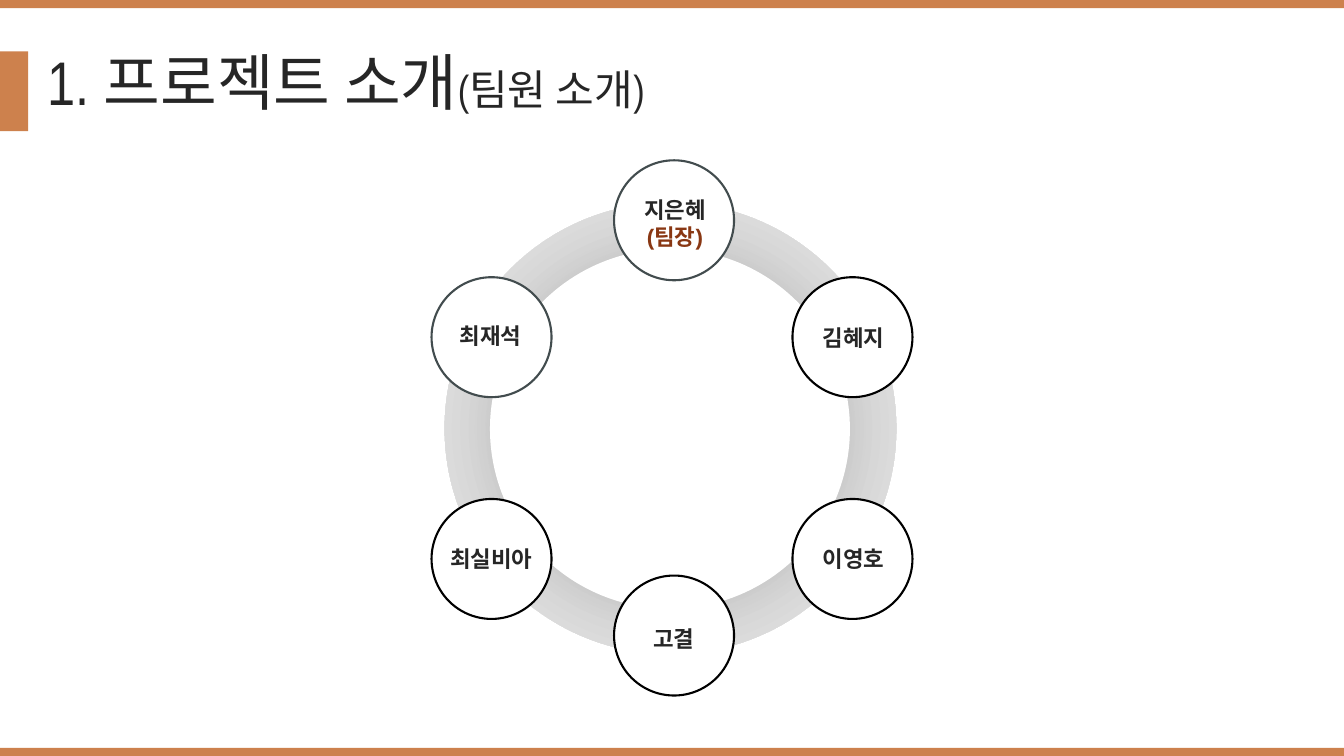
from lxml import etree
from pptx import Presentation
from pptx.dml.color import RGBColor
from pptx.enum.shapes import MSO_SHAPE as Shape
from pptx.enum.text import MSO_ANCHOR as Anchor, MSO_AUTO_SIZE as AutoSize, PP_ALIGN as Align
from pptx.util import Inches, Pt

COLORS = {
    "bar": "CD814D", "white": "FFFFFF", "text": "262626", "leader": "893713",
    "slate": "424C4E", "black": "000000", "glow": "BFBFBF",
}
NAMESPACE = "http://schemas.openxmlformats.org/drawingml/2006/main"

presentation = Presentation()
presentation.slide_width, presentation.slide_height = Inches(13.33), Inches(7.5)
slide = presentation.slides.add_slide(presentation.slide_layouts[6])


def add_shape(kind, left, top, width, height, fill, line=None):
    shape = slide.shapes.add_shape(kind, Inches(left), Inches(top), Inches(width), Inches(height))
    shape.shadow.inherit = False
    shape.fill.solid()
    shape.fill.fore_color.rgb = RGBColor.from_string(COLORS[fill])
    if line:
        shape.line.color.rgb = RGBColor.from_string(COLORS[line])
        shape.line.width = Pt(1.5)
    else:
        shape.line.fill.background()
    return shape


def add_run(paragraph, text, size, font, color, bold=False):
    run = paragraph.add_run()
    run.text = text
    run.font.size, run.font.name, run.font.bold = Pt(size), font, bold
    run.font.color.rgb = RGBColor.from_string(COLORS[color])
    return run


# Title with a soft text shadow
title = slide.shapes.add_textbox(Inches(0.47), Inches(0.51), Inches(7.71), Inches(0.67))
frame = title.text_frame
frame.word_wrap, frame.auto_size = True, AutoSize.SHAPE_TO_FIT_TEXT
frame.vertical_anchor = Anchor.BOTTOM
frame.margin_left = frame.margin_right = frame.margin_top = frame.margin_bottom = 0
frame.paragraphs[0].line_spacing = 0.9
for text, size in (("1. 프로젝트 소개", 44), ("(팀원 소개)", 30)):
    run = add_run(frame.paragraphs[0], text, size, "Arial Narrow", "text")
    text_shadow = etree.fromstring(
        f'<a:effectLst xmlns:a="{NAMESPACE}"><a:outerShdw blurRad="50800" dist="38100" dir="5400000">'
        '<a:srgbClr val="000000"><a:alpha val="40000"/></a:srgbClr></a:outerShdw></a:effectLst>')
    run.font.fill._xPr.find(f"{{{NAMESPACE}}}solidFill").addnext(text_shadow)

# Accent block and page bars
for top, width, height in ((0.51, 0.28, 0.79), (7.42, 13.33, 0.08), (0, 13.33, 0.08)):
    add_shape(Shape.RECTANGLE, 0, top, width, height, "bar")

# Ring: radial gradient disc under a white disc
ring = add_shape(Shape.OVAL, 4.41, 2.01, 4.48, 4.48, "white")
gradient = etree.fromstring(
    f'<a:gradFill xmlns:a="{NAMESPACE}" rotWithShape="1"><a:gsLst>'
    '<a:gs pos="0"><a:srgbClr val="909090"/></a:gs>'
    '<a:gs pos="50000"><a:srgbClr val="CCCCCC"/></a:gs>'
    '<a:gs pos="100000"><a:srgbClr val="F2F2F2"/></a:gs></a:gsLst>'
    '<a:path path="circle"><a:fillToRect l="50000" t="50000" r="50000" b="50000"/></a:path>'
    '</a:gradFill>')
solid_fill = ring._element.spPr.find(f"{{{NAMESPACE}}}solidFill")
solid_fill.getparent().replace(solid_fill, gradient)

ring_center = add_shape(Shape.OVAL, 4.86, 2.47, 3.57, 3.57, "white")
effects = ring_center._element.spPr.find(f"{{{NAMESPACE}}}effectLst")
glow = etree.SubElement(effects, f"{{{NAMESPACE}}}outerShdw", blurRad=str(Pt(12)), dist="0", dir="0")
glow_color = etree.SubElement(glow, f"{{{NAMESPACE}}}srgbClr", val=COLORS["glow"])
etree.SubElement(glow_color, f"{{{NAMESPACE}}}alpha", val="40000")

# Team members: circle left and top, outline, label left and top, label lines
members = [
    (6.09, 1.59, "slate", 5.98, 1.89, [("지은혜", "text"), ("(팀장)", "leader")]),
    (7.86, 2.75, "black", 7.75, 3.16, [("김혜지", "text")]),
    (7.86, 4.95, "black", 7.75, 5.36, [("이영호", "text")]),
    (6.09, 5.71, "black", 5.97, 6.15, [("고결", "text")]),
    (4.28, 4.95, "black", 4.16, 5.36, [("최실비아", "text")]),
    (4.28, 2.75, "slate", 4.15, 3.14, [("최재석", "text")]),
]
for left, top, outline, label_left, label_top, lines in members:
    add_shape(Shape.OVAL, left, top, 1.19, 1.19, "white", outline)
    height = 0.1 + 0.27 * len(lines)
    label = slide.shapes.add_textbox(Inches(label_left), Inches(label_top), Inches(1.43), Inches(height))
    frame = label.text_frame
    frame.word_wrap, frame.auto_size = True, AutoSize.SHAPE_TO_FIT_TEXT
    frame.vertical_anchor = Anchor.MIDDLE
    for index, (text, color) in enumerate(lines):
        paragraph = frame.add_paragraph() if index else frame.paragraphs[0]
        paragraph.alignment = Align.CENTER
        add_run(paragraph, text, 16, "Arial", color, bold=True)

presentation.save("out.pptx")
